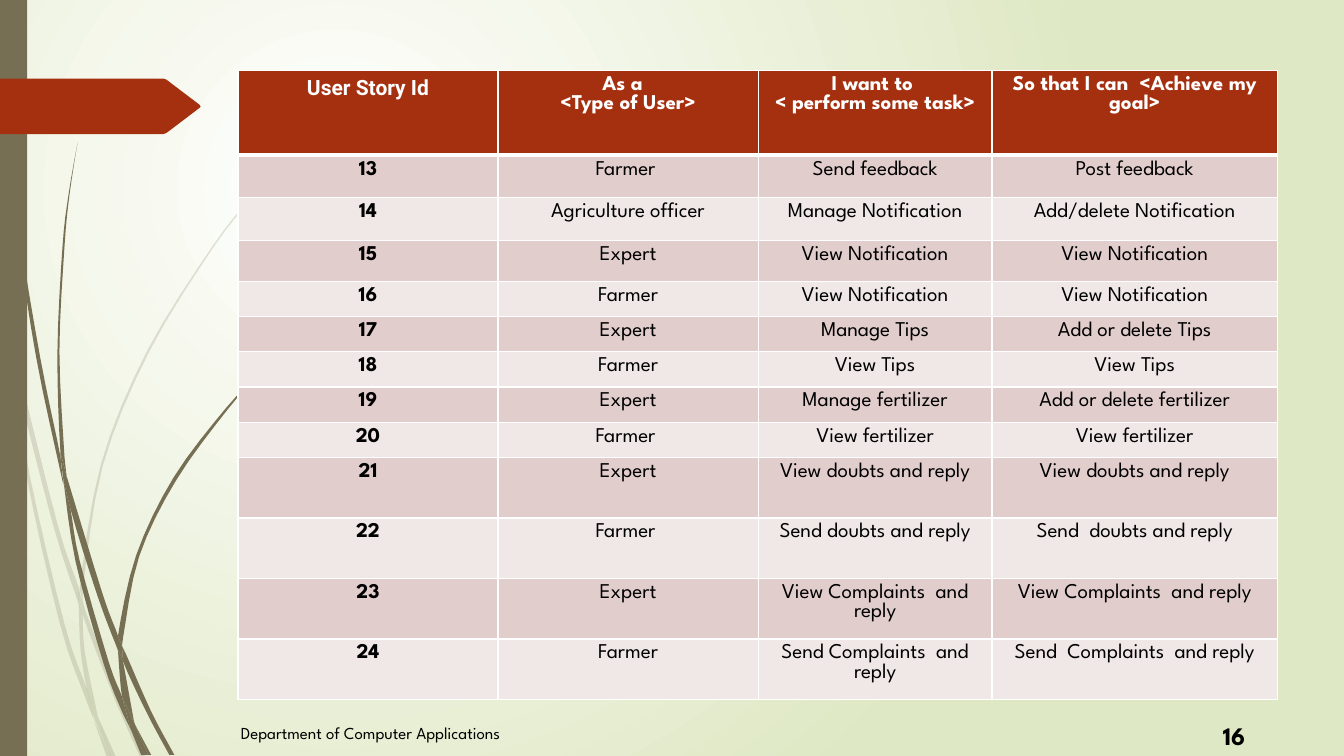
from math import dist
from pptx import Presentation
from pptx.dml.color import RGBColor
from pptx.enum.shapes import MSO_SHAPE as Shape
from pptx.enum.text import MSO_AUTO_SIZE as Auto, PP_ALIGN as Align
from pptx.oxml.ns import qn
from pptx.util import Inches, Pt
from lxml.etree import SubElement as Sub

WHITE = RGBColor(0xFF, 0xFF, 0xFF)
BLACK = RGBColor(0, 0, 0)
LIME = RGBColor(0xDF, 0xE8, 0xC4)
OLIVE = RGBColor(0x76, 0x6F, 0x54)
RUST = RGBColor(0xA5, 0x30, 0x10)
ROSE = RGBColor(0xE1, 0xCD, 0xCC)
PALE = RGBColor(0xF0, 0xE8, 0xE7)

# Grass blades: knots around each outline
FAINT = [
    [(0.1, 3.5), (0.08, 3.22), (0, 2.82), (0, 2.99), (0.09, 3.44)],
    [(0.53, 5.22), (0.78, 5.99), (0.79, 5.86), (0.57, 5.2), (0.13, 3.45), (0.16, 3.76)],
    [(0.85, 6.07), (0.82, 5.96), (0.82, 6.1), (1.14, 6.94), (1.39, 7.51), (1.44, 7.51),
     (1.18, 6.92)],
    [(1.1, 7.51), (1.15, 7.51), (0.97, 7.11)],
    [(0.86, 6.83), (0.64, 6.19), (0.29, 4.69), (0.16, 3.76), (0.1, 3.5), (0.26, 4.7),
     (0.6, 6.21), (0.85, 6.93), (0.93, 7.14), (0.92, 7.07)],
    [(0.78, 5.99), (0.8, 6.46), (0.86, 6.83), (0.89, 6.92), (0.97, 7.11), (0.96, 7.06),
     (0.84, 6.46), (0.82, 6.1), (0.81, 6.08)],
    [(0.82, 5.84), (1.02, 4.62), (1.48, 3.49), (2.12, 2.45), (2.49, 1.98), (2.68, 1.75),
     (2.89, 1.54), (2.89, 1.53), (2.68, 1.75), (2.48, 1.97), (2.11, 2.44), (1.46, 3.48),
     (1, 4.61), (0.79, 5.84), (0.82, 5.96)],
    [(0.93, 7.14), (1.06, 7.51), (1.1, 7.51)],
    [(0.81, 6.08), (0.82, 6.1), (0.82, 5.96), (0.78, 5.86), (0.78, 5.99)],
    [(0.89, 6.92), (0.86, 6.83), (0.92, 7.07), (0.94, 7.14), (1.1, 7.51), (0.97, 7.11)],
]
BOLD = [
    [(0.07, 1.1), (0.18, 2.33), (0.36, 3.55), (0.62, 4.77), (0.63, 4.81), (0.6, 4.53),
     (0.4, 3.55), (0.2, 2.32), (0.08, 1.09), (0.05, 0.48), (0.04, 0), (0.03, 0), (0.04, 0.48)],
    [(0.97, 5.92), (1.17, 6.45), (1.17, 6.31), (1.02, 5.9), (0.66, 4.72), (0.7, 5.05)],
    [(1.25, 6.49), (1.21, 6.41), (1.22, 6.56), (1.46, 7.08), (1.68, 7.49), (1.73, 7.49),
     (1.5, 7.06)],
    [(1.21, 6.91), (1.08, 6.57), (0.79, 5.56), (0.7, 5.05), (0.63, 4.77), (0.75, 5.57),
     (1.03, 6.59), (1.22, 7.08), (1.29, 7.22), (1.28, 7.17)],
    [(0.66, 4.72), (0.64, 4.53), (0.59, 3.49), (0.64, 2.45), (0.69, 1.93), (0.77, 1.41),
     (0.68, 1.93), (0.62, 2.45), (0.57, 3.49), (0.6, 4.49)],
    [(1.47, 7.49), (1.5, 7.49), (1.34, 7.19)],
    [(0.63, 4.77), (0.7, 5.05), (0.66, 4.72), (0.6, 4.49), (0.6, 4.53)],
    [(1.22, 6.33), (1.38, 5.52), (1.75, 4.76), (2.26, 4.06), (2.55, 3.74), (2.71, 3.59),
     (2.88, 3.44), (2.87, 3.44), (2.7, 3.58), (2.55, 3.73), (2.24, 4.05), (1.72, 4.74),
     (1.35, 5.51), (1.17, 6.31), (1.21, 6.41)],
    [(1.29, 7.22), (1.4, 7.49), (1.44, 7.49)],
    [(1.17, 6.45), (1.21, 6.91), (1.28, 7.06), (1.34, 7.19), (1.33, 7.16), (1.22, 6.56),
     (1.2, 6.51)],
    [(1.17, 6.45), (1.2, 6.51), (1.22, 6.56), (1.21, 6.41), (1.17, 6.31)],
    [(1.28, 7.06), (1.21, 6.91), (1.28, 7.17), (1.29, 7.22), (1.44, 7.49), (1.47, 7.49),
     (1.34, 7.19)],
]
ARROW = [(0, 0.78), (1.62, 0.78), (1.65, 0.79), (1.98, 1.04), (1.99, 1.06),
         (1.98, 1.07), (1.65, 1.32), (1.62, 1.33), (0, 1.33)]

HEAD = ["User Story Id", "As a  \n<Type of User>", "I want to \n< perform some task>",
        "So that I can  <Achieve my goal>"]
START = 13
TALES = [
    ("Farmer ", "Send feedback", "Post feedback"),
    ("Agriculture officer", "Manage Notification", "Add/delete Notification"),
    ("Expert", "View Notification", "View Notification"),
    ("Farmer", "View Notification", "View Notification"),
    ("Expert", "Manage Tips", "Add or delete Tips"),
    ("Farmer", "View Tips", "View Tips"),
    ("Expert", "Manage fertilizer", "Add or delete fertilizer"),
    ("Farmer ", "View fertilizer", "View fertilizer"),
    ("Expert", "View doubts and reply", "View doubts and reply"),
    ("Farmer ", "Send doubts and reply", "Send  doubts and reply"),
    ("Expert", "View Complaints  and reply", "View Complaints  and reply"),
    ("Farmer", "Send Complaints  and reply", "Send  Complaints  and reply"),
]
COLS = [2.58, 2.58, 2.32, 2.83]
ROWS = [0.84, 0.42, 0.43, 0.4] + [0.35] * 5 + [0.6] * 4


def put(frame, text, size=15, font="League Spartan", color=BLACK, bold=False, align=Align.LEFT):
    for i, line in enumerate(text.split("\n")):
        para = frame.add_paragraph() if i else frame.paragraphs[0]
        para.alignment = align
        run = para.add_run()
        run.text = line
        face = run.font
        face.size, face.name, face.bold = Pt(size), font, bold
        face.color.rgb = color


def sharp(a, b, c):
    dot = sum((q - p) * (r - q) for p, q, r in zip(a, b, c))
    return dot < 0.8 * dist(a, b) * dist(b, c)


def smooth(knots):
    """Round the long sides of a closed outline and keep its corners."""
    ring = [knots[-1], *knots, *knots[:2]]
    for a, b, c, d in zip(ring, ring[1:], ring[2:], ring[3:]):
        head = b if sharp(a, b, c) else a
        tail = c if sharp(b, c, d) else d
        steps = 4 if dist(b, c) > 0.3 else 1
        for i in range(steps):
            t = i / steps
            yield tuple(q + t / 2 * (r - p + t * (2 * p - 5 * q + 4 * r - s
                                                  + t * (3 * (q - r) + s - p)))
                        for p, q, r, s in zip(head, b, c, tail))


class Deck:
    def __init__(self):
        self.show = Presentation()
        self.show.slide_width, self.show.slide_height = Inches(13.33), Inches(7.5)
        self.slide = self.show.slides.add_slide(self.show.slide_layouts[6])
        self.shapes = self.slide.shapes

    def glow(self, inner, outer):
        fill = self.slide.background.fill
        fill.gradient()
        for stop, color in zip(fill.gradient_stops, (inner, outer)):
            stop.color.rgb = color
        grad = self.slide.element.find(".//" + qn("a:gradFill"))
        grad.remove(grad.find(qn("a:lin")))
        ring = Sub(grad, qn("a:path"), path="circle")
        Sub(ring, qn("a:fillToRect"), l="50000", t="50000", r="100000", b="100000")

    def paint(self, shape, color, alpha=100):
        shape.shadow.inherit = False
        shape.line.fill.background()
        shape.fill.solid()
        shape.fill.fore_color.rgb = color
        if alpha < 100:
            tint = shape.element.spPr.find(".//" + qn("a:srgbClr"))
            Sub(tint, qn("a:alpha"), val=str(alpha * 1000))

    def outline(self, points, color, alpha=100):
        first, *rest = [(Inches(x), Inches(y)) for x, y in points]
        pen = self.shapes.build_freeform(*first)
        pen.add_line_segments(rest, close=True)
        self.paint(pen.convert_to_shape(), color, alpha)

    def bar(self, x, y, w, h, color):
        box = self.shapes.add_shape(Shape.RECTANGLE, *map(Inches, (x, y, w, h)))
        self.paint(box, color)

    def text(self, x, y, w, h, words, wrap=True, **style):
        frame = self.shapes.add_textbox(*map(Inches, (x, y, w, h))).text_frame
        frame.word_wrap = wrap
        frame.auto_size = Auto.SHAPE_TO_FIT_TEXT
        put(frame, words, **style)

    def cell(self, cell, words, fill, top=1, base=1, **style):
        props = cell._tc.get_or_add_tcPr()
        for side, wide in zip("LRTB", (1, 1, top, base)):
            edge = Sub(props, qn("a:ln" + side), w=str(Pt(wide)))
            Sub(Sub(edge, qn("a:solidFill")), qn("a:srgbClr"), val=str(WHITE))
        cell.fill.solid()
        cell.fill.fore_color.rgb = fill
        put(cell.text_frame, words, align=Align.CENTER, **style)

    def table(self, x, y, cols, rows, head, body):
        size = map(Inches, (x, y, sum(cols), sum(rows)))
        grid = self.shapes.add_table(len(rows), len(cols), *size).table
        grid.horz_banding = False
        for col, wide in zip(grid.columns, cols):
            col.width = Inches(wide)
        for row, high in zip(grid.rows, rows):
            row.height = Inches(high)
        for j, words in enumerate(head):
            self.cell(grid.cell(0, j), words, RUST, base=3, color=WHITE, bold=True,
                      font="League Spartan" if j else "Roboto")
        for i, line in enumerate(body, 1):
            for j, words in enumerate(line):
                self.cell(grid.cell(i, j), words, ROSE if i % 2 else PALE,
                          top=3 if i == 1 else 1, bold=j == 0)


def main():
    deck = Deck()
    # Backdrop
    deck.glow(WHITE, LIME)
    for blades, alpha in ((FAINT, 20), (BOLD, 100)):
        for knots in blades:
            deck.outline(list(smooth(knots)), OLIVE, alpha)
    deck.bar(0, 0, 0.27, 7.5, OLIVE)
    deck.outline(ARROW, RUST)
    # User stories
    body = [(str(num), *tale) for num, tale in enumerate(TALES, START)]
    deck.table(2.36, 0.7, COLS, ROWS, HEAD, body)
    # Footer
    deck.text(2.29, 7.12, 5.23, 0.3, "Department of Computer Applications", size=12)
    deck.text(12.03, 7.1, 0.49, 0.4, "16", wrap=False, size=18, bold=True)
    deck.show.save("out.pptx")


if __name__ == "__main__":
    main()
